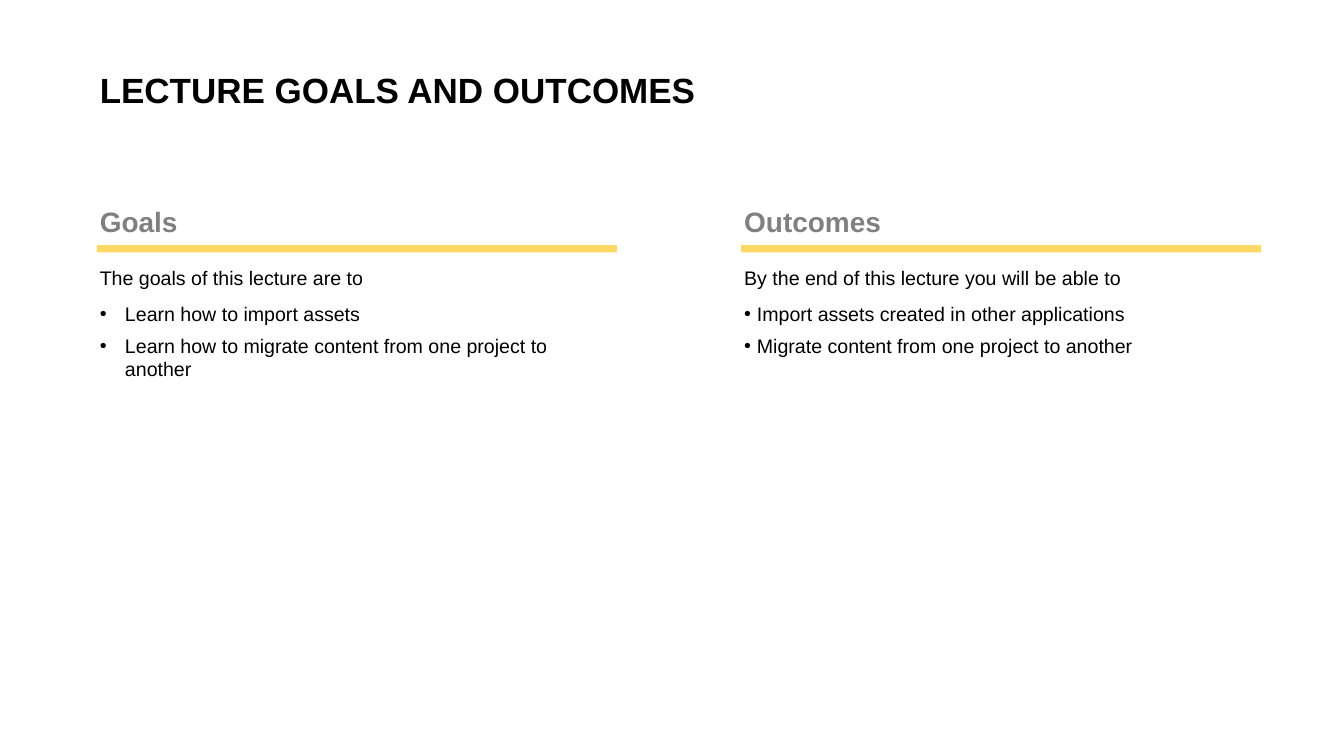
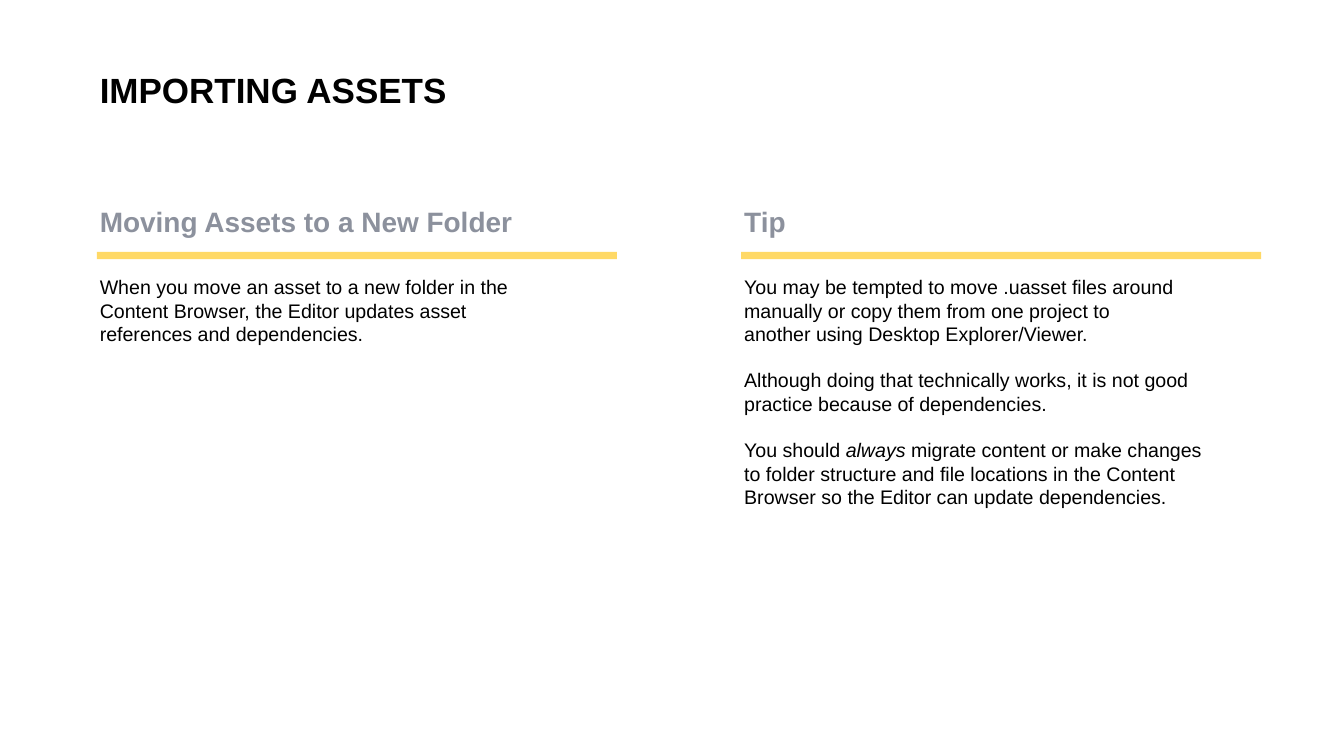
from lxml import etree
from pptx import Presentation
from pptx import util as u
from pptx.dml.color import RGBColor
from pptx.enum import shapes, text
from pptx.oxml.ns import qn

# Shared style, lengths in centimetres
FONT = "Arial"
BLACK, GRAY, SLATE, YELLOW = "000000", "808080", "8C919D", "FFD966"
COLUMNS = (4.88, 37.36)
TITLE_TOP, HEADING_TOP = 3.3, 10.16
BODY_WIDTH, RULE_WIDTH, RULE_HEIGHT = 23.65, 26.21, 0.36
INSET = 0.15


def color(value):
    return RGBColor.from_string(value)


class Deck:
    def __init__(self, heading_color=GRAY):
        self.presentation = Presentation()
        self.presentation.slide_width = u.Cm(67.74)
        self.presentation.slide_height = u.Cm(38.1)
        self.heading_color = heading_color
        self.slide = None

    def add_slide(self, title, title_width, heading_color):
        layout = self.presentation.slide_layouts[5]
        self.slide = self.presentation.slides.add_slide(layout)
        self.heading_color = heading_color
        shape = self.slide.shapes.title
        shape.left, shape.top = u.Cm(COLUMNS[0]), u.Cm(TITLE_TOP)
        shape.width, shape.height = u.Cm(title_width), u.Cm(2.43)
        frame = self.format_frame(shape, wrap=False)
        self.add_run(frame.paragraphs[0], title, 50, BLACK, bold=True)

    def format_frame(self, shape, wrap):
        frame = shape.text_frame
        frame.margin_left = frame.margin_right = u.Cm(INSET)
        frame.margin_top = frame.margin_bottom = u.Cm(INSET)
        frame.word_wrap = wrap
        frame.auto_size = text.MSO_AUTO_SIZE.SHAPE_TO_FIT_TEXT
        frame.vertical_anchor = text.MSO_ANCHOR.TOP
        frame.paragraphs[0].alignment = text.PP_ALIGN.LEFT
        return frame

    def add_run(self, paragraph, words, size, fill, bold=False, italic=False):
        run = paragraph.add_run()
        run.text = words
        font = run.font
        font.name, font.size = FONT, u.Pt(size)
        font.bold, font.italic = bold, italic
        font.color.rgb = color(fill)

    def add_box(self, left, top, width, height, wrap):
        box = self.slide.shapes.add_textbox(
            u.Cm(left), u.Cm(top), u.Cm(width), u.Cm(height))
        return self.format_frame(box, wrap)

    def add_heading(self, left, words, width):
        frame = self.add_box(left, HEADING_TOP, width, 2.01, wrap=False)
        self.add_run(frame.paragraphs[0], words, 40, self.heading_color, bold=True)

    def add_rule(self, left, top):
        rule = self.slide.shapes.add_shape(
            shapes.MSO_SHAPE.RECTANGLE,
            u.Cm(left), u.Cm(top), u.Cm(RULE_WIDTH), u.Cm(RULE_HEIGHT))
        rule.shadow.inherit = False
        rule.fill.solid()
        rule.fill.fore_color.rgb = color(YELLOW)
        rule.line.fill.background()

    def add_bullet(self, paragraph, indent):
        properties = paragraph._p.get_or_add_pPr()
        properties.set("marL", str(u.Cm(indent)))
        properties.set("indent", str(-u.Cm(indent)))
        bullet_font = etree.SubElement(properties, qn("a:buFont"))
        bullet_font.set("typeface", FONT)
        etree.SubElement(properties, qn("a:buChar")).set("char", "•")

    def add_body(self, left, top, height, paragraphs):
        """Each paragraph is (runs, space before, space after, bullet indent)."""
        frame = self.add_box(left, top, BODY_WIDTH, height, wrap=True)
        for index, (runs, before, after, indent) in enumerate(paragraphs):
            paragraph = frame.add_paragraph() if index else frame.paragraphs[0]
            if indent:
                self.add_bullet(paragraph, indent)
            paragraph.space_before = u.Pt(before)
            paragraph.space_after = u.Pt(after)
            for words, italic in runs:
                self.add_run(paragraph, words, 28, BLACK, italic=italic)

    def add_columns(self, rule_top, body_top, columns):
        for left, (heading, width, height, paragraphs) in zip(COLUMNS, columns):
            self.add_heading(left, heading, width)
            self.add_rule(left, rule_top)
            self.add_body(left, body_top, height, paragraphs)


def plain(words, before=0):
    return [(words, False)], before, 0, 0


def bullet_list(intro, items, indent):
    bullets = [([(item, False)], 6, 6, indent) for item in items]
    return [([(intro, False)], 0, 12, 0)] + bullets


def main():
    deck = Deck()

    # Goals and outcomes
    deck.add_slide("LECTURE GOALS AND OUTCOMES", 30.66, GRAY)
    goals = bullet_list("The goals of this lecture are to", [
        "Learn how to import assets",
        "Learn how to migrate content from one project to another",
    ], indent=1.27)
    outcomes = bullet_list("By the end of this lecture you will be able to", [
        "Import assets created in other applications",
        "Migrate content from one project to another",
    ], indent=0.64)
    deck.add_columns(12.36, 13.23, [
        ("Goals", 4.24, 7.77, goals),
        ("Outcomes", 7.26, 9.83, outcomes),
    ])

    # Importing assets
    deck.add_slide("IMPORTING ASSETS", 18.01, SLATE)
    moving = [plain("When you move an asset to a new folder in the Content Browser, "
                    "the Editor updates asset references and dependencies.")]
    blank_line = 32.2
    tip = [
        plain("You may be tempted to move .uasset files around manually "
              "or copy them from one project to"),
        plain("another using Desktop Explorer/Viewer."),
        plain("Although doing that technically works, it is not good practice "
              "because of dependencies.", blank_line),
        ([("You should ", False), ("always", True),
          (" migrate content or make changes to folder structure and file locations "
           "in the Content Browser so the Editor can update dependencies.", False)],
         blank_line, 0, 0),
    ]
    deck.add_columns(12.7, 13.72, [
        ("Moving Assets to a New Folder", 21.34, 3.89, moving),
        ("Tip", 2.41, 12.24, tip),
    ])

    deck.presentation.save("out.pptx")


if __name__ == "__main__":
    main()
